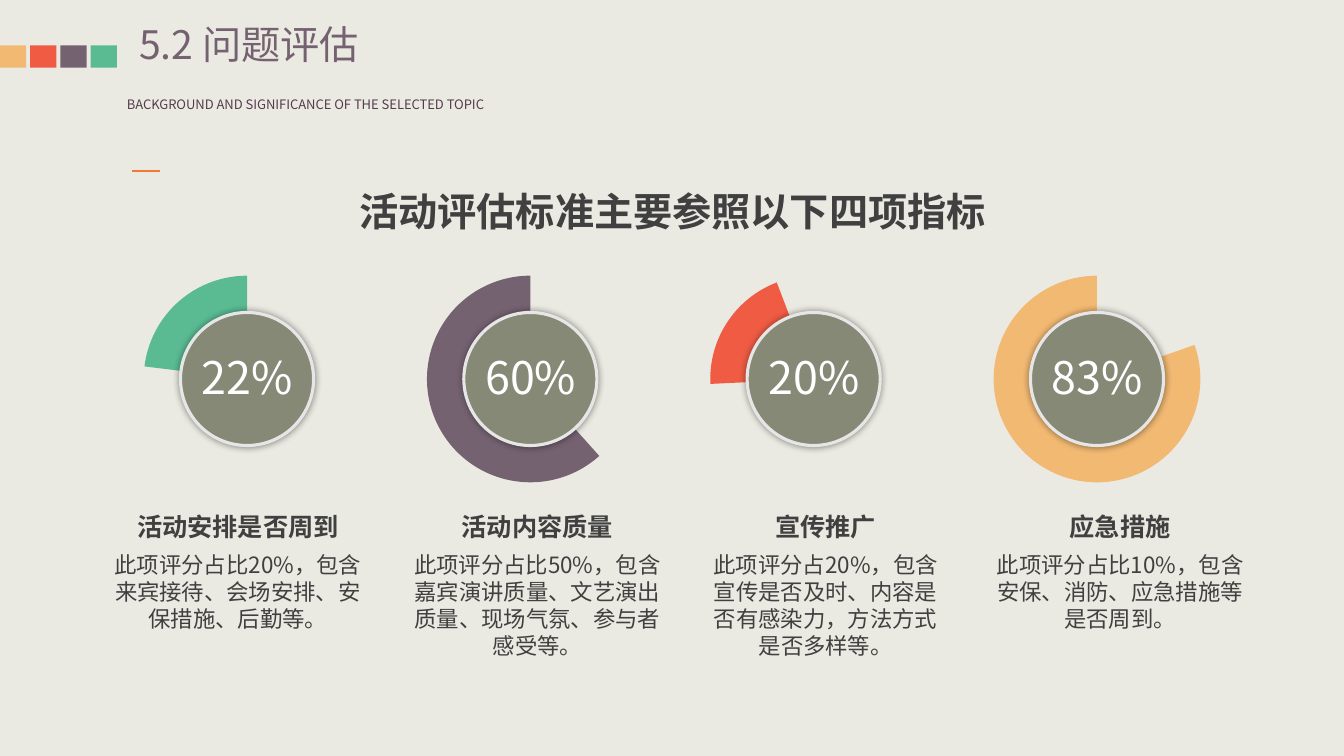
from lxml import etree
from pptx import Presentation
from pptx.dml.color import RGBColor
from pptx.enum.shapes import MSO_CONNECTOR, MSO_SHAPE
from pptx.enum.text import MSO_ANCHOR, MSO_AUTO_SIZE, PP_ALIGN
from pptx.oxml import parse_xml
from pptx.oxml.ns import qn
from pptx.util import Inches, Pt

RECTANGLE, PIE, OVAL = MSO_SHAPE.RECTANGLE, MSO_SHAPE.PIE, MSO_SHAPE.OVAL
STRAIGHT, MIDDLE, TOP = MSO_CONNECTOR.STRAIGHT, MSO_ANCHOR.MIDDLE, MSO_ANCHOR.TOP
LEFT, CENTER, NO_FIT = PP_ALIGN.LEFT, PP_ALIGN.CENTER, MSO_AUTO_SIZE.NONE

THEME = {
    "font": "Noto Sans CJK SC",
    "background": "EBEAE2", "yellow": "F2B973", "red": "EF5B43",
    "purple": "756271", "green": "5ABB93", "orange": "ED7D31",
    "disc": "858976", "rim": "E7E6E6", "white": "FFFFFF",
    "text": "404040", "subtitle": "543C4F",
    "title_size": 28, "percent_size": 32, "heading_size": 18,
    "body_size": 16, "subtitle_size": 9.3,
}
SHADOW = (
    '<a:outerShdw xmlns:a="http://schemas.openxmlformats.org/drawingml/2006/main" '
    'blurRad="63500" dist="0" dir="0" algn="ctr" rotWithShape="0">'
    '<a:srgbClr val="000000"><a:alpha val="40000"/></a:srgbClr></a:outerShdw>'
)


def add_filled(kind, left, top, width, height, color):
    shape = slide.shapes.add_shape(
        kind, Inches(left), Inches(top), Inches(width), Inches(height))
    shape.shadow.inherit = False
    shape.fill.solid()
    shape.fill.fore_color.rgb = RGBColor.from_string(THEME[color])
    shape.line.fill.background()
    return shape


def write(text, box, size, color, shape=None, bold=False, align=CENTER,
          wrap=True, inset=(0.1, 0.05), anchor=MIDDLE, spacing=None):
    left, top, width, height = map(Inches, box)
    if shape is None:
        shape = slide.shapes.add_textbox(left, top, width, height)
    place = {"left": left, "top": top, "width": width, "height": height}
    for name, value in place.items():
        setattr(shape, name, value)
    frame = shape.text_frame
    side, edge = map(Inches, inset)
    frame_format = {
        "auto_size": NO_FIT, "word_wrap": wrap, "vertical_anchor": anchor,
        "margin_left": side, "margin_right": side,
        "margin_top": edge, "margin_bottom": edge,
    }
    for name, value in frame_format.items():
        setattr(frame, name, value)
    paragraph = frame.paragraphs[0]
    paragraph.alignment = align
    paragraph.line_spacing = spacing
    run = paragraph.add_run()
    run.text = text
    font_format = {"name": THEME["font"], "size": Pt(THEME[size]), "bold": bold}
    for name, value in font_format.items():
        setattr(run.font, name, value)
    run.font.color.rgb = RGBColor.from_string(THEME[color])
    properties = run._r.get_or_add_rPr()
    etree.SubElement(properties, qn("a:ea"), typeface=THEME["font"])


presentation = Presentation()
presentation.slide_width = Inches(13.33)
presentation.slide_height = Inches(7.5)
slide = presentation.slides.add_slide(presentation.slide_layouts[5])
slide.background.fill.solid()
slide.background.fill.fore_color.rgb = RGBColor.from_string(THEME["background"])

for index, color in enumerate(("yellow", "red", "purple", "green")):
    add_filled(RECTANGLE, index * 0.3, 0.45, 0.26, 0.22, color)

write("5.2 问题评估", (1.38, 0.2, 3.99, 0.47), "title_size", "purple",
      shape=slide.shapes.title, align=LEFT, inset=(0, 0))
write("BACKGROUND AND SIGNIFICANCE OF THE SELECTED TOPIC",
      (1.16, 0.91, 4.07, 0.26), "subtitle_size", "subtitle", align=LEFT, wrap=False)

accent = slide.shapes.add_connector(
    STRAIGHT, Inches(1.31), Inches(1.7), Inches(1.59), Inches(1.7))
accent.line.color.rgb = RGBColor.from_string(THEME["orange"])
accent.line.width = Pt(1.5)
etree.SubElement(accent._element.spPr, qn("a:effectLst"))

write("活动评估标准主要参照以下四项指标", (2.86, 1.81, 7.62, 0.57),
      "title_size", "text", bold=True)

indicators = [
    ("22%", "green", 187, 270, 2.36, 2.81, "活动安排是否周到",
     "此项评分占比20%，包含来宾接待、会场安排、安保措施、后勤等。"),
    ("60%", "purple", 48.14, 270, 5.33, 2.81, "活动内容质量",
     "此项评分占比50%，包含嘉宾演讲质量、文艺演出质量、现场气氛、参与者感受等。"),
    ("20%", "red", 177.26, 249.1, 8.19, 2.63, "宣传推广",
     "此项评分占20%，包含宣传是否及时、内容是否有感染力，方法方式是否多样等。"),
    ("83%", "yellow", 340.73, 270, 11.11, 2.81, "应急措施",
     "此项评分占比10%，包含安保、消防、应急措施等是否周到。"),
]
PIE_SIZE, DISC_SIZE, CENTER_Y = 2.05, 1.32, 3.76
ANGLE_UNIT = 0.6

for index, (percent, color, start, end, text_x, width, heading, body) in enumerate(indicators):
    center_x = 2.45 + index * 2.81
    pie = add_filled(PIE, center_x - PIE_SIZE / 2, CENTER_Y - PIE_SIZE / 2,
                     PIE_SIZE, PIE_SIZE, color)
    pie.adjustments[0] = start * ANGLE_UNIT
    pie.adjustments[1] = end * ANGLE_UNIT
    disc = add_filled(OVAL, center_x - DISC_SIZE / 2, CENTER_Y - DISC_SIZE / 2,
                      DISC_SIZE, DISC_SIZE, "disc")
    disc.line.color.rgb = RGBColor.from_string(THEME["rim"])
    disc.line.width = Pt(2.25)
    disc._element.spPr.find(qn("a:effectLst")).append(parse_xml(SHADOW))
    write(percent, (center_x - 0.56, 3.42, 1.13, 0.64),
          "percent_size", "white", wrap=False)
    write(heading, (text_x - 1.13, 5.02, 2.26, 0.4), "heading_size", "text", bold=True)
    write(body, (text_x - width / 2, 5.42, width, 1.18), "body_size", "text",
          anchor=TOP, spacing=Pt(19.2))

presentation.save("out.pptx")
